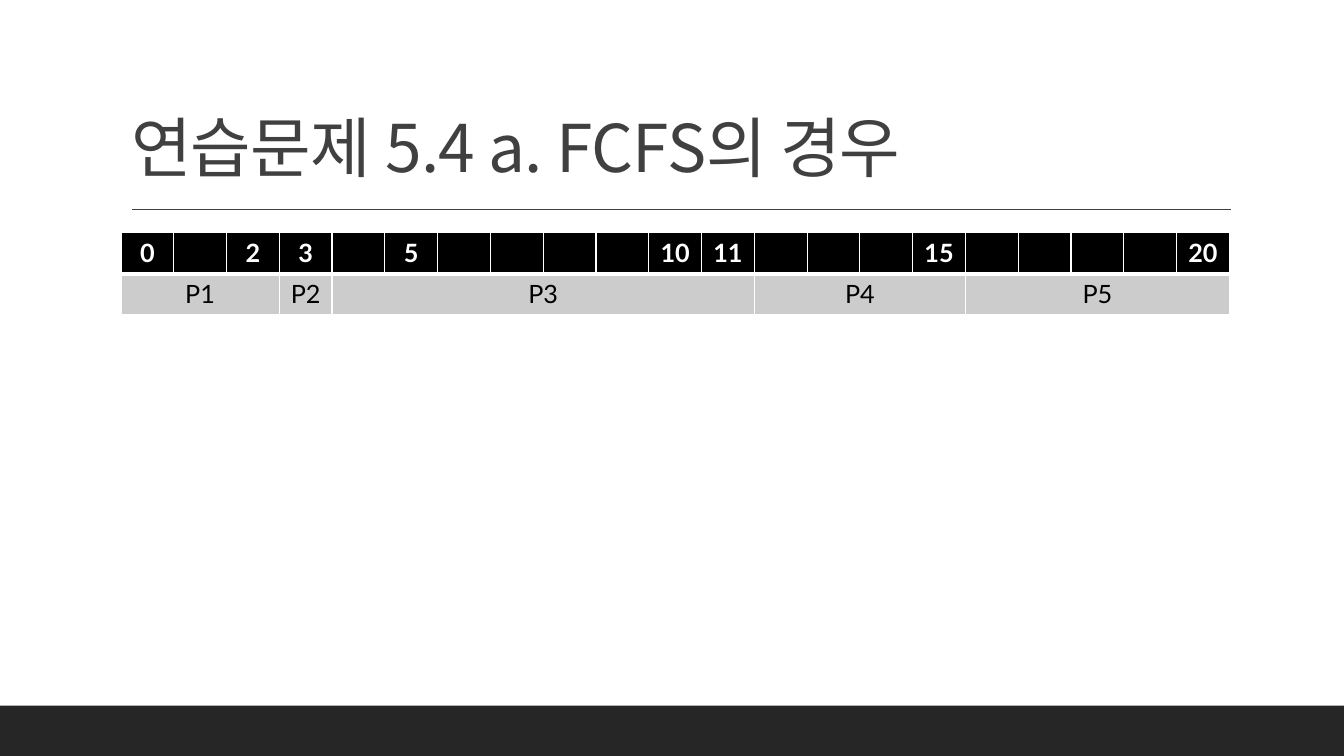
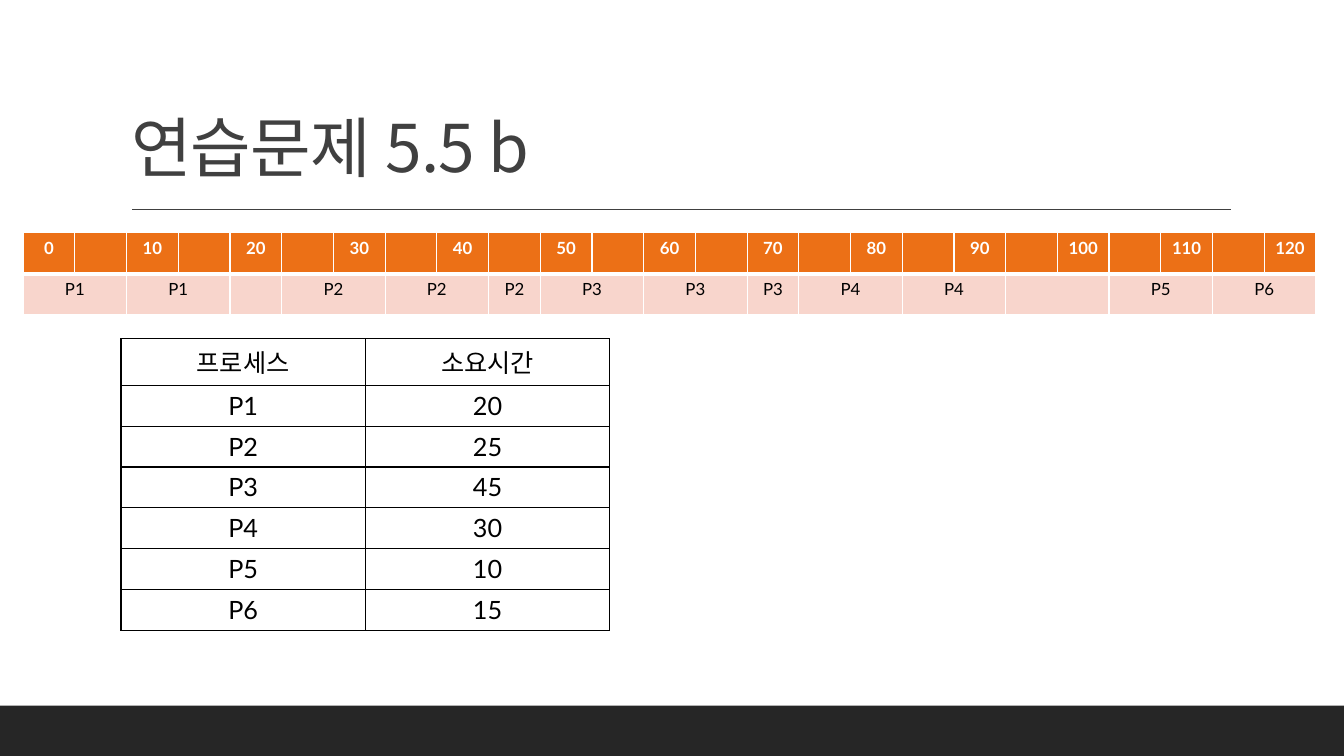
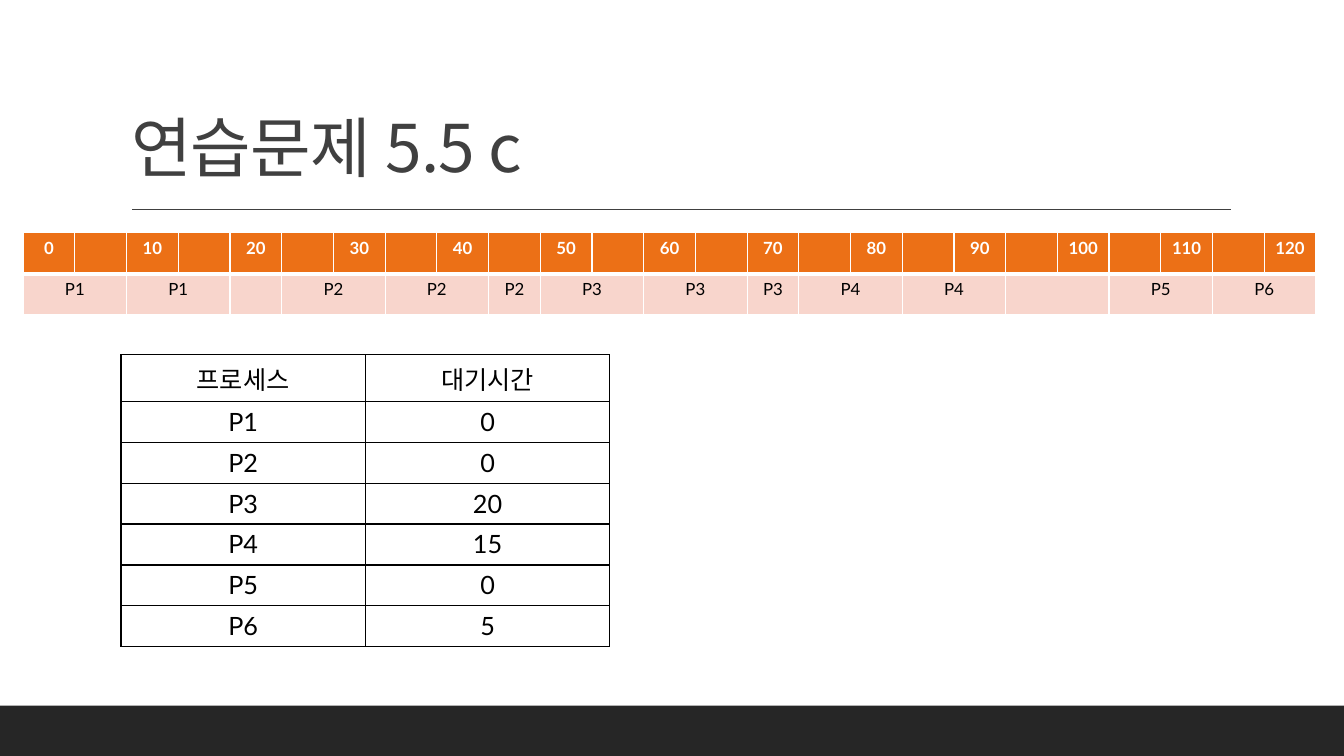
from dataclasses import dataclass
from typing import NamedTuple

from lxml import etree
from pptx import Presentation
from pptx import util as u
from pptx.dml.color import RGBColor
from pptx.enum import shapes, text
from pptx.oxml.ns import qn

COLUMNS, ROWS = 400, 225
UNIT = u.Inches(7.5) / ROWS


@dataclass(frozen=True)
class Theme:
    title_font: str = "Noto Sans CJK KR"
    body_font: str = "Lato"
    title_size: float = 47
    table_size: float = 18
    small_size: float = 12
    ink: str = "000000"
    paper: str = "FFFFFF"
    title_ink: str = "404040"
    band: str = "262626"
    thin: float = 1
    thick: float = 3


THEME = Theme()


class Area(NamedTuple):
    column: float
    row: float
    columns: float
    rows: float

    def emu(self) -> list[int]:
        return [grid(length) for length in self]


class Segment(NamedTuple):
    process: str
    span: int


@dataclass(frozen=True)
class Timeline:
    area: Area
    ticks: list[str]
    segments: list[Segment]
    head_fill: str
    body_fill: str
    size: float


@dataclass(frozen=True)
class ProcessTimes:
    row: float
    heading: str
    times: list[int]


@dataclass(frozen=True)
class Exercise:
    title: str
    timeline: Timeline
    process_times: ProcessTimes | None = None


TITLE_AREA = Area(36, 9.3, 330, 47.7)
BAND_AREA = Area(0, 210, COLUMNS, 15)
RULE_ROW, RULE_START, RULE_END = 62.4, 39.3, 366.3

FCFS = Timeline(
    Area(36, 69.3, 330, 24.3),
    [str(t) if t in (0, 2, 3, 5, 10, 11, 15, 20) else "" for t in range(21)],
    [Segment("P1", 3), Segment("P2", 1), Segment("P3", 8), Segment("P4", 4), Segment("P5", 5)],
    "000000", "CCCCCC", THEME.table_size,
)
ROUND_ROBIN = Timeline(
    Area(6.9, 69.3, 384.9, 24.3),
    ["" if t % 10 else str(t) for t in range(0, 125, 5)],
    [Segment("P1", 2), Segment("P1", 2), Segment("", 1),
     Segment("P2", 2), Segment("P2", 2), Segment("P2", 1),
     Segment("P3", 2), Segment("P3", 2), Segment("P3", 1),
     Segment("P4", 2), Segment("P4", 2), Segment("", 2),
     Segment("P5", 2), Segment("P6", 2)],
    "EC7016", "F8D5CC", THEME.small_size,
)
EXERCISES = [
    Exercise("연습문제 5.4 a. FCFS의 경우", FCFS),
    Exercise("연습문제 5.5 b", ROUND_ROBIN,
             ProcessTimes(100.8, "소요시간", [20, 25, 45, 30, 10, 15])),
    Exercise("연습문제 5.5 c", ROUND_ROBIN,
             ProcessTimes(105.6, "대기시간", [0, 0, 20, 15, 0, 5])),
]


def grid(length: float) -> int:
    return round(length * UNIT)


def rgb(color: str) -> RGBColor:
    return RGBColor.from_string(color)


def format_run(run, font: str, size: float, color: str, bold: bool = False) -> None:
    run.font.name = font
    run.font.size = u.Pt(size)
    run.font.bold = bold
    run.font.color.rgb = rgb(color)
    east_asian = etree.Element(qn("a:ea"), typeface=THEME.title_font)
    run.font._element.find(qn("a:latin")).addnext(east_asian)


def set_borders(cell, color: str, **widths: float) -> None:
    properties = cell._tc.get_or_add_tcPr()
    for position, side in enumerate("LRTB"):
        width = widths.get(side, THEME.thin)
        border = etree.Element(qn(f"a:ln{side}"), w=str(u.Pt(width)))
        fill = etree.SubElement(border, qn("a:solidFill"))
        etree.SubElement(fill, qn("a:srgbClr"), val=color)
        properties.insert(position, border)


def write_cell(cell, words: str, size: float, color: str, bold: bool = False) -> None:
    cell.text_frame.text = words
    paragraph = cell.text_frame.paragraphs[0]
    paragraph.alignment = text.PP_ALIGN.CENTER
    for run in paragraph.runs:
        format_run(run, THEME.body_font, size, color, bold)


def add_plain_table(slide, rows: int, columns: int, area: Area):
    table = slide.shapes.add_table(rows, columns, *area.emu()).table
    table.first_row = table.horz_banding = False
    return table


def fill_cell(cell, color: str) -> None:
    cell.fill.solid()
    cell.fill.fore_color.rgb = rgb(color)


def draw_timeline(slide, timeline: Timeline) -> None:
    table = add_plain_table(slide, 2, len(timeline.ticks), timeline.area)
    for column, tick in enumerate(timeline.ticks):
        head, body = table.cell(0, column), table.cell(1, column)
        fill_cell(head, timeline.head_fill)
        fill_cell(body, timeline.body_fill)
        set_borders(head, THEME.paper, B=THEME.thick)
        set_borders(body, THEME.paper, T=THEME.thick)
        write_cell(head, tick, timeline.size, THEME.paper, bold=True)
    start = 0
    for segment in timeline.segments:
        first = table.cell(1, start)
        if segment.span > 1:
            first.merge(table.cell(1, start + segment.span - 1))
        write_cell(first, segment.process, timeline.size, THEME.ink)
        start += segment.span


def draw_process_times(slide, process_times: ProcessTimes) -> None:
    records = [("프로세스", process_times.heading)]
    records += [(f"P{n}", str(time)) for n, time in enumerate(process_times.times, 1)]
    area = Area(TITLE_AREA.column, process_times.row, 145.5, 85.2)
    table = add_plain_table(slide, len(records), 2, area)
    for row, record in enumerate(records):
        for column, words in enumerate(record):
            cell = table.cell(row, column)
            cell.fill.background()
            set_borders(cell, THEME.ink)
            write_cell(cell, words, THEME.table_size, THEME.ink)


def draw_title(slide, words: str) -> None:
    frame = slide.shapes.title.text_frame
    frame.text = words
    frame.word_wrap = True
    frame.auto_size = text.MSO_AUTO_SIZE.NONE
    frame.vertical_anchor = text.MSO_ANCHOR.BOTTOM
    paragraph = frame.paragraphs[0]
    paragraph.alignment = text.PP_ALIGN.LEFT
    paragraph.line_spacing = 0.9
    for run in paragraph.runs:
        format_run(run, THEME.title_font, THEME.title_size, THEME.title_ink)
        run.font._element.set("spc", "-50")


def furnish_layout(layout, slide) -> None:
    band = slide.shapes.add_shape(shapes.MSO_SHAPE.RECTANGLE, *BAND_AREA.emu())
    band.shadow.inherit = False
    band.fill.solid()
    band.fill.fore_color.rgb = rgb(THEME.band)
    band.line.fill.background()
    height = grid(RULE_ROW)
    rule = slide.shapes.add_connector(
        shapes.MSO_CONNECTOR.STRAIGHT, grid(RULE_START), height, grid(RULE_END), height)
    rule.line.color.rgb = rgb(THEME.title_ink)
    rule.line.width = u.Pt(THEME.thin)
    etree.SubElement(rule.element.spPr, qn("a:effectLst"))
    for number, part in enumerate((band, rule), 101):
        part.element.xpath("./*/p:cNvPr")[0].set("id", str(number))
        layout.shapes.element.insert(2, part.element)


def main() -> None:
    deck = Presentation()
    deck.slide_width, deck.slide_height = grid(COLUMNS), grid(ROWS)
    layout = deck.slide_layouts.get_by_name("Title Only")
    heading = layout.placeholders[0]
    heading.left, heading.top, heading.width, heading.height = TITLE_AREA.emu()
    for exercise in EXERCISES:
        slide = deck.slides.add_slide(layout)
        draw_title(slide, exercise.title)
        if exercise.process_times:
            draw_process_times(slide, exercise.process_times)
        draw_timeline(slide, exercise.timeline)
    furnish_layout(layout, deck.slides[0])
    deck.save("out.pptx")


if __name__ == "__main__":
    main()
